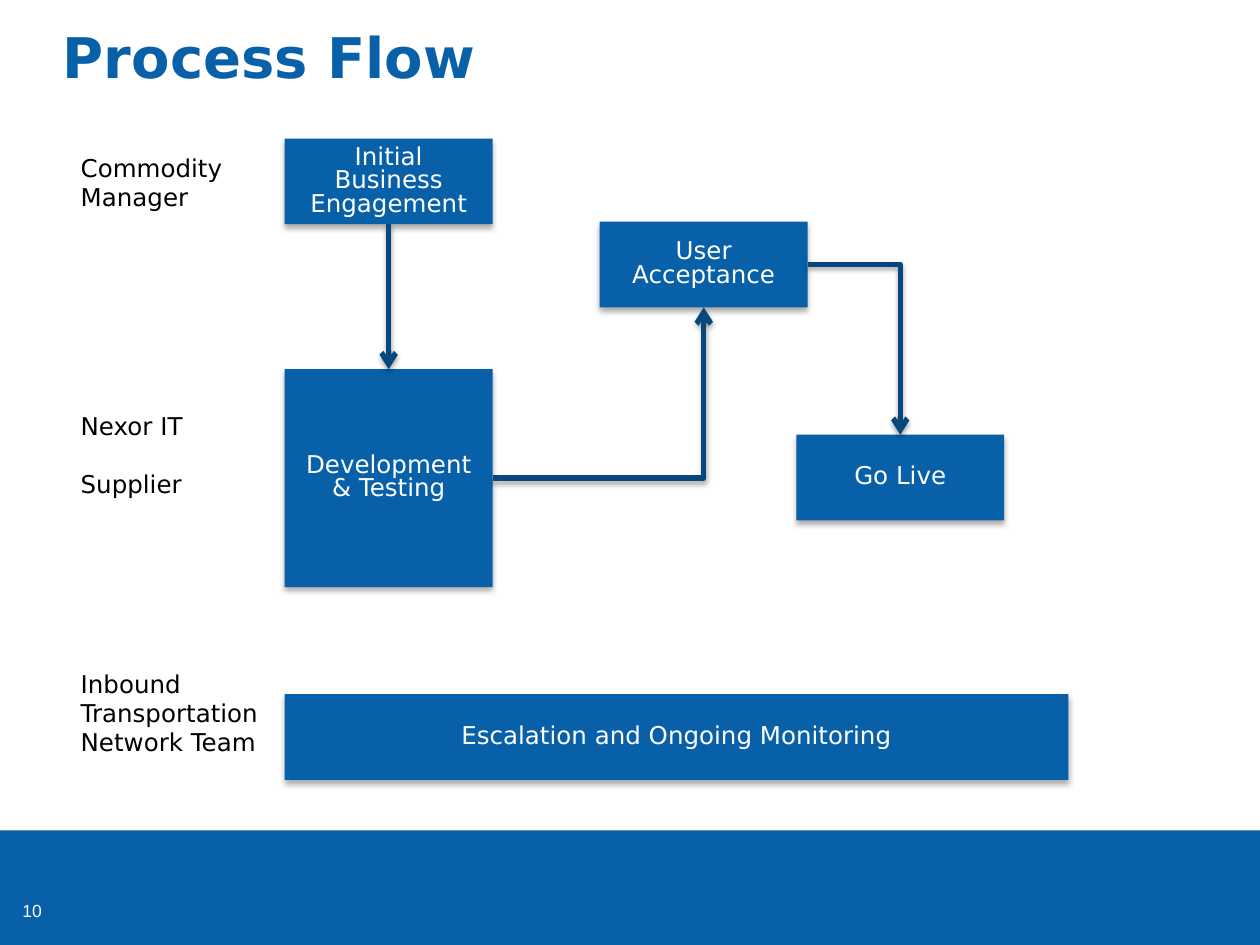
from lxml.etree import SubElement as Sub
from pptx import Presentation
from pptx.dml.color import RGBColor
from pptx.enum.shapes import MSO_CONNECTOR as Link, MSO_SHAPE as Kind
from pptx.enum.text import MSO_ANCHOR as Anchor, PP_ALIGN as Align
from pptx.oxml.ns import qn
from pptx.util import Inches, Pt

BLUE = RGBColor(0x08, 0x60, 0xA8)
NAVY = RGBColor(0x06, 0x48, 0x7E)
WHITE = RGBColor(0xFF, 0xFF, 0xFF)
BLACK = RGBColor(0, 0, 0)
SANS = "DejaVu Sans"
TOP, RIGHT, BOTTOM = 0, 3, 2
PITCH, GAP = 16.28, 3.25  # label line pitch and paragraph gap, points


def style(para, size, color, name=SANS, bold=False):
    font = para.font
    font.size, font.name, font.bold = Pt(size), name, bold
    font.color.rgb = color


def shade(part, alpha, blur, dist):
    """Drop a soft shadow straight down."""
    props = part._element.spPr
    for old in props.findall(qn("a:effectLst")):
        props.remove(old)
    drop = Sub(Sub(props, qn("a:effectLst")), qn("a:outerShdw"),
               blurRad=str(Pt(blur)), dist=str(Pt(dist)),
               dir="5400000", rotWithShape="0")
    tint = Sub(drop, qn("a:srgbClr"), val=str(BLACK))
    Sub(tint, qn("a:alpha"), val=str(alpha * 1000))


def add_rect(slide, box):
    rect = slide.shapes.add_shape(Kind.RECTANGLE, *map(Inches, box))
    rect.shadow.inherit = False
    rect.fill.solid()
    rect.fill.fore_color.rgb = BLUE
    rect.line.fill.background()
    return rect


def add_text(slide, box, inset=True):
    frame = slide.shapes.add_textbox(*map(Inches, box)).text_frame
    frame.word_wrap = True
    if not inset:
        frame.margin_left = frame.margin_right = 0
        frame.margin_top = frame.margin_bottom = 0
    return frame


def add_title(slide, box, text):
    para = add_text(slide, box, inset=False).paragraphs[0]
    para.text = text
    style(para, 32, BLUE, bold=True)


def add_foot(slide, box, number):
    left, top, _, _ = box
    add_rect(slide, box)
    frame = add_text(slide, (left, top + 0.27, 0.43, 0.5))
    frame.vertical_anchor = Anchor.BOTTOM
    para = frame.paragraphs[0]
    para.text = number
    para.alignment = Align.RIGHT
    style(para, 10, WHITE, "Arial")


def add_roles(slide, box):
    """List the roles; each has a count of lines skipped above it."""
    rows = [("Commodity", 0), ("Manager", 0), ("Nexor IT", 7), ("Supplier", 1),
            ("Inbound", 6), ("Transportation", 0), ("Network Team", 0)]
    frame = add_text(slide, box, inset=False)
    for i, (text, skip) in enumerate(rows):
        para = frame.add_paragraph() if i else frame.paragraphs[0]
        para.text = text
        para.line_spacing = 0.8
        para.space_before = Pt(round(GAP + skip * PITCH, 2) if i else 0)
        style(para, 14, BLACK)


def add_step(slide, box, text):
    step = add_rect(slide, box)
    shade(step, 32, 3.5, 2.2)
    frame = step.text_frame
    frame.word_wrap = True
    frame.vertical_anchor = Anchor.MIDDLE
    para = frame.paragraphs[0]
    para.text = text
    para.alignment = Align.CENTER
    para.line_spacing = 0.8
    style(para, 14, WHITE)
    return step


def add_arrow(slide, start, side, end, goal):
    """Join two steps, with one bend when leaving sideways."""
    bent = side == RIGHT
    arrow = slide.shapes.add_connector(
        Link.ELBOW if bent else Link.STRAIGHT, 0, 0, 0, 0)
    arrow.begin_connect(start, side)
    arrow.end_connect(end, goal)
    if bent:
        arrow._element.spPr.find(qn("a:prstGeom")).set("prst", "bentConnector2")
    arrow.line.color.rgb = NAVY
    arrow.line.width = Pt(3)
    Sub(arrow.line._get_or_add_ln(), qn("a:tailEnd"), type="arrow")
    shade(arrow, 35, 3.1, 1.8)


def add_flow(slide, box):
    left, top, wide, _ = box
    w, h = 1.65, 0.68

    def step(x, y, text, w=w, h=h):
        return add_step(slide, (left + x, top + y, w, h), text)

    first = step(0, 0, "Initial Business Engagement")
    live = step(4.06, 2.35, "Go Live")
    user = step(2.5, 0.66, "User Acceptance")
    build = step(0, 1.83, "Development & Testing", h=1.73)
    step(0, 4.41, "Escalation and Ongoing Monitoring", w=wide)

    add_arrow(slide, first, BOTTOM, build, TOP)
    add_arrow(slide, user, RIGHT, live, TOP)
    add_arrow(slide, build, RIGHT, user, BOTTOM)


def main():
    deck = Presentation()
    deck.slide_width, deck.slide_height = Inches(10), Inches(7.5)
    slide = deck.slides.add_slide(deck.slide_layouts[6])
    add_foot(slide, (0, 6.59, 10, 0.91), "10")
    add_title(slide, (0.5, 0.18, 9, 0.97), "Process Flow")
    add_roles(slide, (0.64, 1.26, 2.02, 4.75))
    add_flow(slide, (2.26, 1.1, 6.22, 5.09))
    deck.save("out.pptx")


if __name__ == "__main__":
    main()
